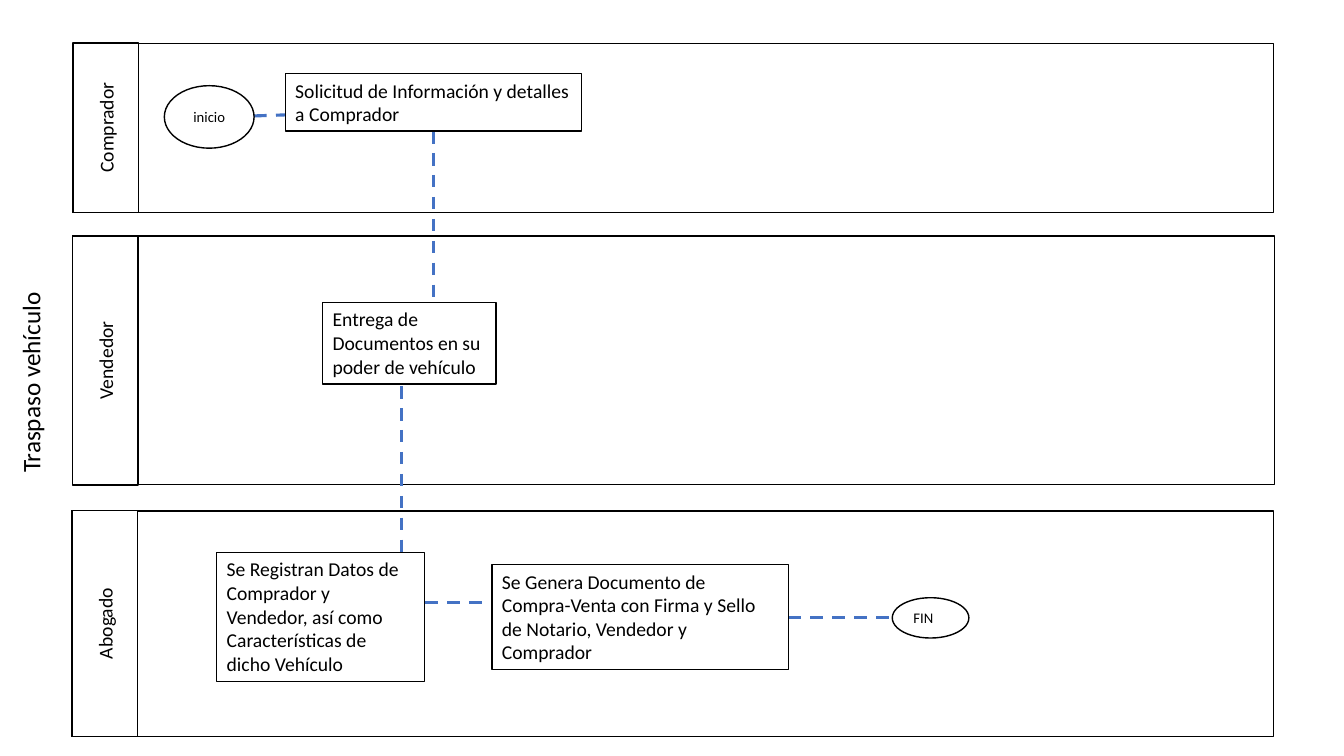
from pptx import Presentation
from pptx.dml.color import RGBColor
from pptx.enum.dml import MSO_LINE
from pptx.enum.shapes import MSO_CONNECTOR, MSO_SHAPE
from pptx.enum.text import MSO_ANCHOR, MSO_AUTO_SIZE, PP_ALIGN
from pptx.oxml.ns import qn
from pptx.util import Pt
from lxml import etree

RECT, OVAL = MSO_SHAPE.RECTANGLE, MSO_SHAPE.OVAL
LEFT, CENTER = PP_ALIGN.LEFT, PP_ALIGN.CENTER
TOP, MIDDLE = MSO_ANCHOR.TOP, MSO_ANCHOR.MIDDLE
GROW, FIXED = MSO_AUTO_SIZE.SHAPE_TO_FIT_TEXT, MSO_AUTO_SIZE.NONE
STRAIGHT, DASH = MSO_CONNECTOR.STRAIGHT, MSO_LINE.DASH

PX = 9144  # 100 px to the inch
THEME = {
    "font": "Calibri",
    "ink": RGBColor(0, 0, 0),
    "paper": RGBColor(255, 255, 255),
    "link": RGBColor(0x44, 0x72, 0xC4),
    "title": Pt(18),
    "body": Pt(14),
    "small": Pt(10.5),
    "edge": Pt(1),
    "dash": Pt(2.25),
}

deck = Presentation()
deck.slide_width, deck.slide_height = 1333 * PX, 750 * PX
slide = deck.slides.add_slide(deck.slide_layouts[6])
shapes = slide.shapes


def write(shape, text, size, center=False):
    """Fill a shape with text: centred at fixed size, or top left and growing."""
    frame = shape.text_frame
    frame.text = text
    frame.word_wrap = True
    frame.auto_size = FIXED if center else GROW
    frame.vertical_anchor = MIDDLE if center else TOP
    para = frame.paragraphs[0]
    para.alignment = CENTER if center else LEFT
    font = para.runs[0].font
    font.name, font.size = THEME["font"], THEME[size]
    font.color.rgb = THEME["ink"]


def draw(kind, left, top, width, height):
    shape = shapes.add_shape(kind, left * PX, top * PX, width * PX, height * PX)
    shape.shadow.inherit = False
    shape.fill.solid()
    shape.fill.fore_color.rgb = THEME["paper"]
    shape.line.color.rgb = THEME["ink"]
    shape.line.width = THEME["edge"]
    return shape


# Swimlanes, each with a turned label at its left end
HEAD = 65
lanes = [
    ("Comprador", 72, 43, 1191, 168),
    ("Vendedor", 72, 234, 1192, 247),
    ("Abogado", 71, 507, 1192, 224),
]
for name, left, top, width, height in lanes:
    draw(RECT, left, top, width, height)
    shift = (height - HEAD) // 2
    label = draw(RECT, left - shift, top + shift, height, HEAD)
    label.rotation = 270
    write(label, name, "body", center=True)

title = shapes.add_textbox(-106 * PX, 323 * PX, 272 * PX, 40 * PX)
title.rotation = 270
write(title, "Traspaso vehículo", "title")

# Dashed links between the steps
links = [
    (252, 115, 283, 114),
    (430, 130, 430, 303),
    (398, 383, 398, 556),
    (422, 598, 492, 598),
    (782, 613, 885, 613),
]
for ends in links:
    link = shapes.add_connector(STRAIGHT, *(end * PX for end in ends))
    link.line.color.rgb = THEME["link"]
    link.line.width = THEME["dash"]
    link.line.dash_style = DASH
    etree.SubElement(link._element.spPr, qn("a:effectLst"))

# Steps of the process
start = draw(OVAL, 163, 85, 89, 62)
write(start, "inicio", "small", center=True)

steps = [
    (RECT, 283, 73, 294, 57, "body",
     "Solicitud de Información y detalles a Comprador"),
    (RECT, 320, 300, 172, 81, "body",
     "Entrega de Documentos en su poder de vehículo"),
    (RECT, 215, 548, 206, 128, "body",
     "Se Registran Datos de Comprador y Vendedor, así como "
     "Características de dicho Vehículo"),
    (RECT, 488, 560, 294, 104, "body",
     "Se Genera Documento de Compra-Venta con Firma y Sello "
     "de Notario, Vendedor y Comprador"),
    (OVAL, 885, 593, 76, 40, "small", "FIN"),
]
for kind, left, top, width, height, size, text in steps:
    write(draw(kind, left, top, width, height), text, size)

deck.save("out.pptx")
